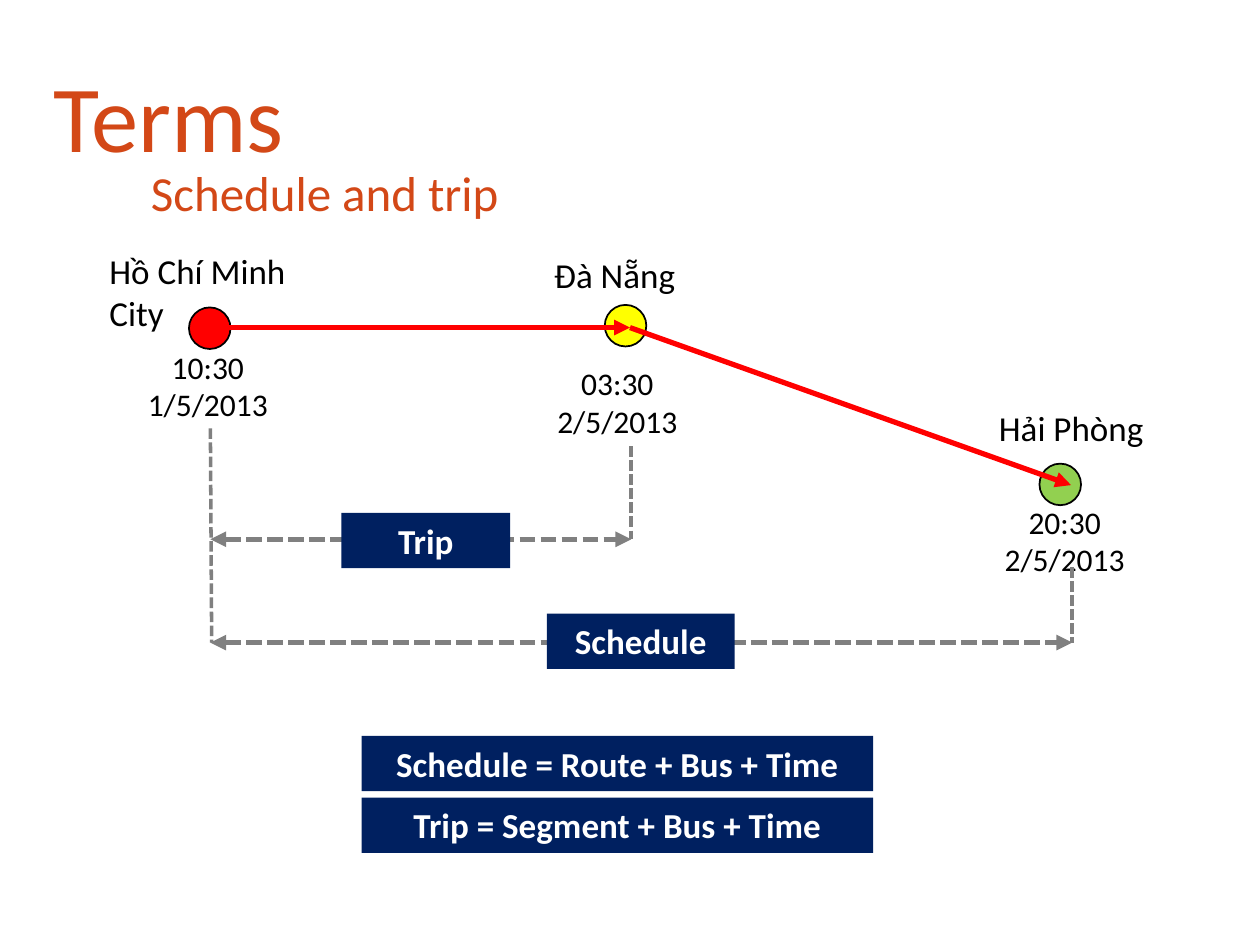
from lxml import etree
from pptx import Presentation
from pptx import util as u
from pptx.dml.color import RGBColor
from pptx.enum import dml, shapes, text
from pptx.oxml.ns import qn

COLORS = {
    "title": "D34817", "navy": "002060", "white": "FFFFFF", "black": "000000",
    "red": "FF0000", "yellow": "FFFF00", "green": "92D050", "grey": "808080",
}
RGB = {name: RGBColor.from_string(value) for name, value in COLORS.items()}

prs = Presentation()
prs.slide_width, prs.slide_height = u.Inches(10), u.Inches(7.5)
s = prs.slides.add_slide(prs.slide_layouts[6])

# Grid of 100 columns by 75 rows; all positions below are in these units
COL, ROW = prs.slide_width / 100, prs.slide_height / 75


def add_label(label, box, size, color, fill=None, centred=False):
    """Add a text box, or a filled bar with bold text when fill is given."""
    x, y, w, h = box
    place = [round(n) for n in (x * COL, y * ROW, w * COL, h * ROW)]
    if fill:
        sp = s.shapes.add_shape(shapes.MSO_SHAPE.RECTANGLE, *place)
        sp.shadow.inherit = False
        sp.fill.solid()
        sp.fill.fore_color.rgb = RGB[fill]
        sp.line.fill.background()
    else:
        sp = s.shapes.add_textbox(*place)
    tf = sp.text_frame
    tf.word_wrap = True
    tf.vertical_anchor = text.MSO_ANCHOR.TOP
    tf.text = label
    p = tf.paragraphs[0]
    p.alignment = text.PP_ALIGN.CENTER if centred else text.PP_ALIGN.LEFT
    font = p.runs[0].font
    font.name, font.size, font.bold = "Calibri", u.Pt(size), bool(fill)
    font.color.rgb = RGB[color]
    return sp


def add_line(start, end, color, width, dashed=False, arrows=()):
    """Add a straight line; arrows names its ends, headEnd before tailEnd."""
    (x1, y1), (x2, y2) = start, end
    line = s.shapes.add_connector(
        shapes.MSO_CONNECTOR.STRAIGHT,
        round(x1 * COL), round(y1 * ROW), round(x2 * COL), round(y2 * ROW))
    line.line.color.rgb = RGB[color]
    line.line.width = u.Pt(width)
    if dashed:
        line.line.dash_style = dml.MSO_LINE.SQUARE_DOT
    for arrow in arrows:
        etree.SubElement(line.line._get_or_add_ln(), qn("a:" + arrow), type="triangle")
    etree.SubElement(line._element.spPr, qn("a:effectLst"))


# Guide that runs behind everything else
start_x, middle_x, end_x = 16.7, 50.1, 85.1
trip_y, schedule_y = 42.8, 51
add_line((start_x, 34), (start_x + 0.1, schedule_y), "grey", 2, dashed=True)

# Headings
title = add_label("Terms", (3.3, 5, 51.7, 9.2), 54, "title")
title.text_frame.vertical_anchor = text.MSO_ANCHOR.BOTTOM
title.text_frame.paragraphs[0].line_spacing = 0.9
add_label("Schedule and trip", (11, 12.4, 52.3, 5.7), 28, "title")

# Stops on the route
STOP_SIZE = 3.3
for color, x, y in [("red", 15, 24.4), ("green", 82.5, 36.8), ("yellow", 48, 24.2)]:
    stop = s.shapes.add_shape(
        shapes.MSO_SHAPE.OVAL, round(x * COL), round(y * ROW),
        round(STOP_SIZE * COL), round(STOP_SIZE * ROW))
    stop.shadow.inherit = False
    stop.fill.solid()
    stop.fill.fore_color.rgb = RGB[color]
    stop.line.color.rgb = RGB["black"]
    stop.line.width = u.Pt(1)

route = [(16.6, 26), (50, 26), (85, 38.5)]
for start, end in zip(route, route[1:]):
    add_line(start, end, "red", 3, arrows=["tailEnd"])

# City names and times
for city, box in [
    ("Hồ Chí Minh City", (7.7, 19.3, 17.6, 7.7)),
    ("Đà Nẵng", (43, 19.6, 11.9, 4.4)),
    ("Hải Phòng", (78.3, 31.8, 20, 4.4)),
]:
    add_label(city, box, 20, "black")

for time, x, y, w in [
    ("20:30 2/5/2013", 77.3, 39.4, 14.4),
    ("10:30 1/5/2013", 10, 27.1, 13),
    ("03:30 2/5/2013", 42.5, 28.4, 13),
]:
    add_label(time, (x, y, w, 7.1), 18, "black", centred=True)

# Spans of the trip and of the whole schedule
for x, top, y in [(middle_x, 35.4, trip_y), (end_x, 45, schedule_y)]:
    add_line((x, top), (x, y), "grey", 2, dashed=True)
    add_line((start_x, y), (x, y), "grey", 3, dashed=True,
             arrows=["headEnd", "tailEnd"])

# Navy bars: span names and definitions
BAR_HEIGHT = 4.4
for label, x, y, w in [
    ("Trip", 27.1, 40.7, 13.4),
    ("Schedule", 43.4, 48.7, 14.9),
    ("Schedule = Route + Bus + Time", 28.7, 58.4, 40.6),
    ("Trip = Segment + Bus + Time", 28.7, 63.3, 40.6),
]:
    add_label(label, (x, y, w, BAR_HEIGHT), 20, "white", fill="navy", centred=True)

prs.save("out.pptx")
